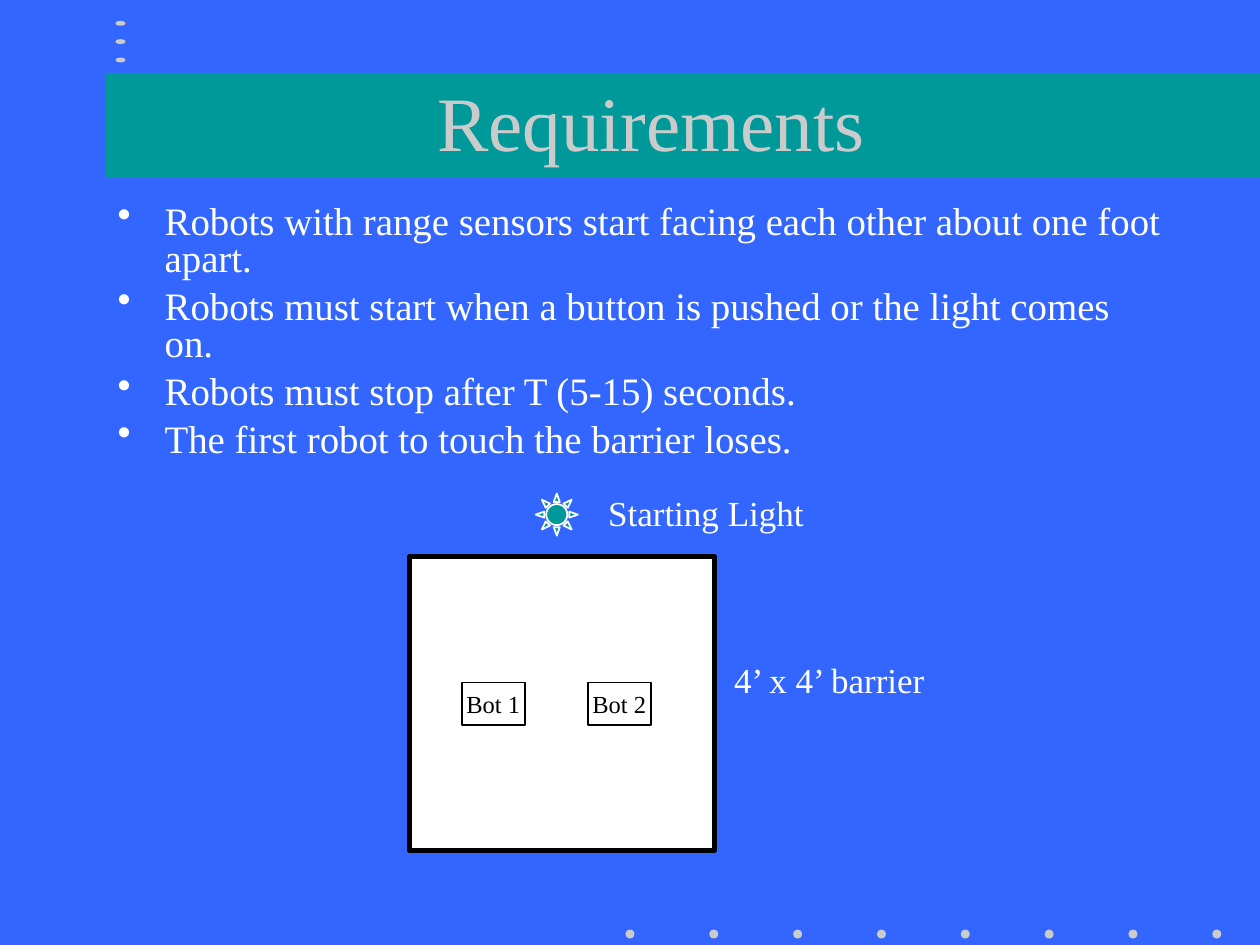
"""Build the robot contest requirements slide."""
from dataclasses import dataclass

from lxml import etree
from pptx import Presentation
from pptx.dml.color import RGBColor
from pptx.enum import shapes, text
from pptx.oxml import ns
from pptx.util import Cm, Pt


@dataclass(frozen=True)
class Theme:
    """Colours, font and type sizes of the slide."""
    background: str = "3366FF"
    accent: str = "009999"
    muted: str = "CBCBCB"
    light: str = "FFFFFF"
    dark: str = "000000"
    font: str = "Times New Roman"
    title_size: float = 44
    body_size: float = 22.2
    label_size: float = 20
    bot_size: float = 14


@dataclass(frozen=True)
class Box:
    """A rectangle in centimetres."""
    left: float
    top: float
    width: float
    height: float

    def lengths(self) -> tuple:
        """Return the four sides as slide lengths."""
        return Cm(self.left), Cm(self.top), Cm(self.width), Cm(self.height)


@dataclass(frozen=True)
class Label:
    """A line of text and the box that holds it."""
    wording: str
    box: Box


THEME = Theme()
SHAPE = shapes.MSO_SHAPE
BAND = Box(2.13, 1.47, 23.27, 2.12)
TITLE = Box(2.33, 1.27, 21.6, 2.33)
BODY = Box(2.12, 4.02, 21.6, 5.26)
ARENA = Box(8.26, 11.22, 6.14, 5.93)
LIGHT = Box(10.8, 9.95, 0.85, 0.85)
BOTTOM_DOTS = [Box(12.61 + 1.69 * i, 18.74, 0.18, 0.18) for i in range(8)]
TOP_DOTS = [Box(2.33, 0.42 + 0.37 * i, 0.2, 0.1) for i in range(3)]
BOTS = [Label(f"Bot {i + 1}", Box(9.31 + 2.54 * i, 13.76, 1.27, 0.85)) for i in range(2)]
LABELS = [
    Label("4’ x 4’ barrier", Box(14.55, 13.15, 4.45, 1.11)),
    Label("Starting Light", Box(12.01, 9.78, 4.45, 1.11)),
]
REQUIREMENTS = [
    "Robots with range sensors start facing each other about one foot apart.",
    "Robots must start when a button is pushed or the light comes on.",
    "Robots must stop after T (5-15) seconds.",
    "The first robot to touch the barrier loses.",
]


def add_shape(slide, kind, box: Box, fill: str, line: str = "", weight: float = 0):
    """Draw a filled preset shape, outlined when a line colour is given."""
    shape = slide.shapes.add_shape(kind, *box.lengths())
    shape.shadow.inherit = False
    shape.fill.solid()
    shape.fill.fore_color.rgb = RGBColor.from_string(fill)
    if line:
        shape.line.color.rgb = RGBColor.from_string(line)
        shape.line.width = Pt(weight)
    else:
        shape.line.fill.background()
    return shape


def add_run(paragraph, wording: str, size: float, color: str) -> None:
    """Append a formatted run to a paragraph."""
    run = paragraph.add_run()
    run.text = wording
    run.font.name = THEME.font
    run.font.size = Pt(size)
    run.font.color.rgb = RGBColor.from_string(color)


def add_bullet(paragraph) -> None:
    """Give a paragraph a light bullet with a hanging indent."""
    properties = paragraph._p.get_or_add_pPr()
    properties.set("marL", str(Cm(0.95)))
    properties.set("indent", str(Cm(-0.95)))
    color = etree.SubElement(properties, ns.qn("a:buClr"))
    etree.SubElement(color, ns.qn("a:srgbClr"), val=THEME.light)
    etree.SubElement(properties, ns.qn("a:buChar"), char="•")


def add_title(slide, wording: str) -> None:
    """Place the title in front of its band."""
    title = slide.shapes.title
    slide.shapes._spTree.append(title._element)
    title.left, title.top, title.width, title.height = TITLE.lengths()
    frame = title.text_frame
    frame.auto_size = text.MSO_AUTO_SIZE.NONE
    frame.vertical_anchor = text.MSO_ANCHOR.MIDDLE
    paragraph = frame.paragraphs[0]
    paragraph.alignment = text.PP_ALIGN.CENTER
    add_run(paragraph, wording, THEME.title_size, THEME.muted)


def add_requirements(slide, items: list[str]) -> None:
    """Write the bulleted requirements."""
    frame = slide.shapes.add_textbox(*BODY.lengths()).text_frame
    frame.word_wrap = True
    for index, item in enumerate(items):
        paragraph = frame.add_paragraph() if index else frame.paragraphs[0]
        add_bullet(paragraph)
        paragraph.line_spacing = 0.8
        paragraph.space_before = Pt(6 if index else 0)
        add_run(paragraph, item, THEME.body_size, THEME.light)


def add_bot(slide, bot: Label) -> None:
    """Draw a robot as a named box."""
    shape = add_shape(slide, SHAPE.RECTANGLE, bot.box, THEME.light, THEME.dark, 1)
    frame = shape.text_frame
    frame.word_wrap = False
    frame.vertical_anchor = text.MSO_ANCHOR.MIDDLE
    paragraph = frame.paragraphs[0]
    paragraph.alignment = text.PP_ALIGN.CENTER
    add_run(paragraph, bot.wording, THEME.bot_size, THEME.dark)


def add_label(slide, label: Label) -> None:
    """Write a one-line label."""
    frame = slide.shapes.add_textbox(*label.box.lengths()).text_frame
    frame.word_wrap = False
    frame.auto_size = text.MSO_AUTO_SIZE.SHAPE_TO_FIT_TEXT
    add_run(frame.paragraphs[0], label.wording, THEME.label_size, THEME.light)


def main() -> None:
    """Build and save the presentation."""
    presentation = Presentation()
    presentation.slide_width, presentation.slide_height = Cm(25.4), Cm(19.05)
    slide = presentation.slides.add_slide(presentation.slide_layouts[5])
    slide.background.fill.solid()
    slide.background.fill.fore_color.rgb = RGBColor.from_string(THEME.background)
    add_shape(slide, SHAPE.RECTANGLE, BAND, THEME.accent)
    for dot in BOTTOM_DOTS + TOP_DOTS:
        add_shape(slide, SHAPE.OVAL, dot, THEME.muted)
    add_title(slide, "Requirements")
    add_requirements(slide, REQUIREMENTS)
    add_shape(slide, SHAPE.RECTANGLE, ARENA, THEME.light, THEME.dark, 3)
    add_shape(slide, SHAPE.SUN, LIGHT, THEME.accent, THEME.light, 1)
    for bot in BOTS:
        add_bot(slide, bot)
    for label in LABELS:
        add_label(slide, label)
    presentation.save("out.pptx")


if __name__ == "__main__":
    main()
